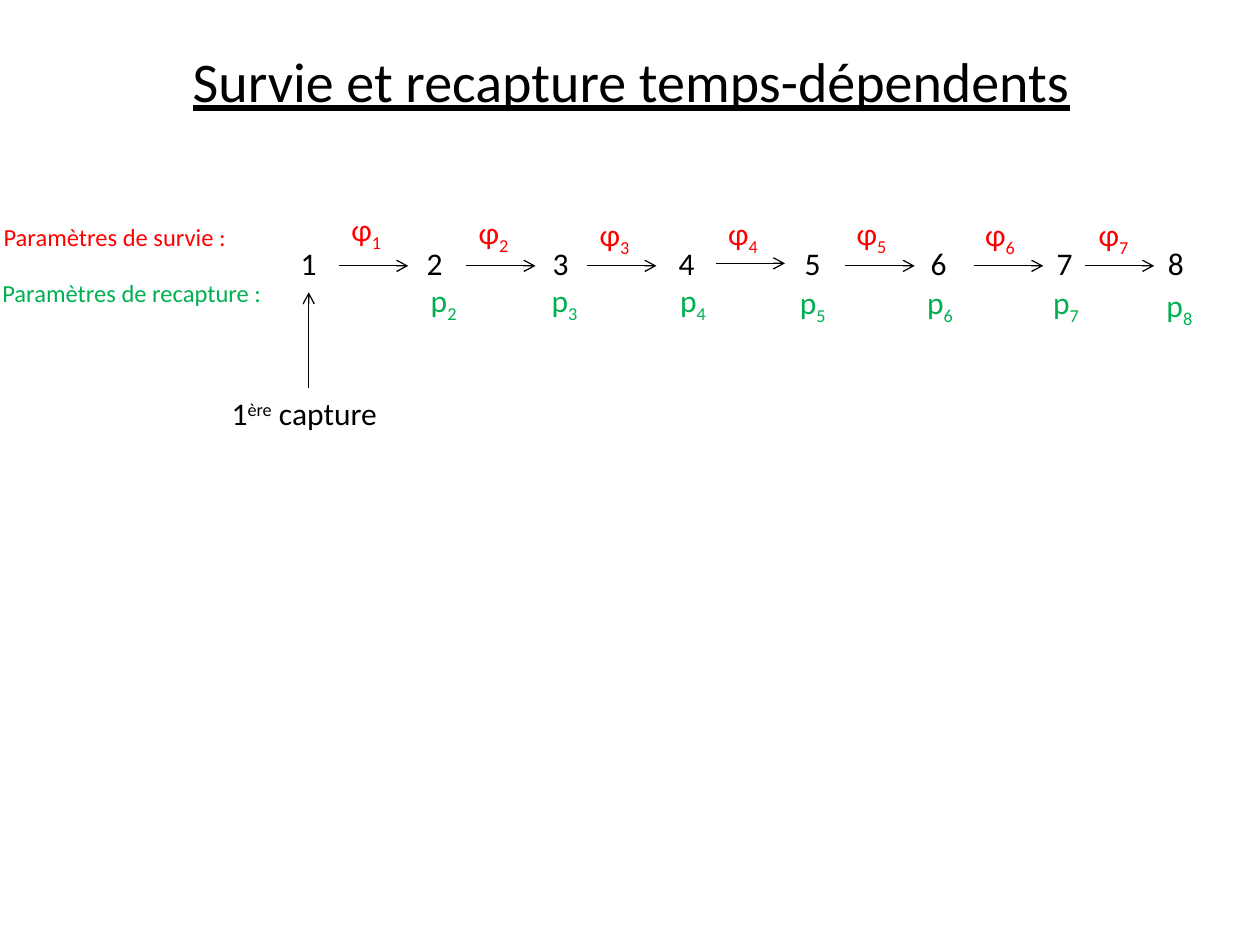
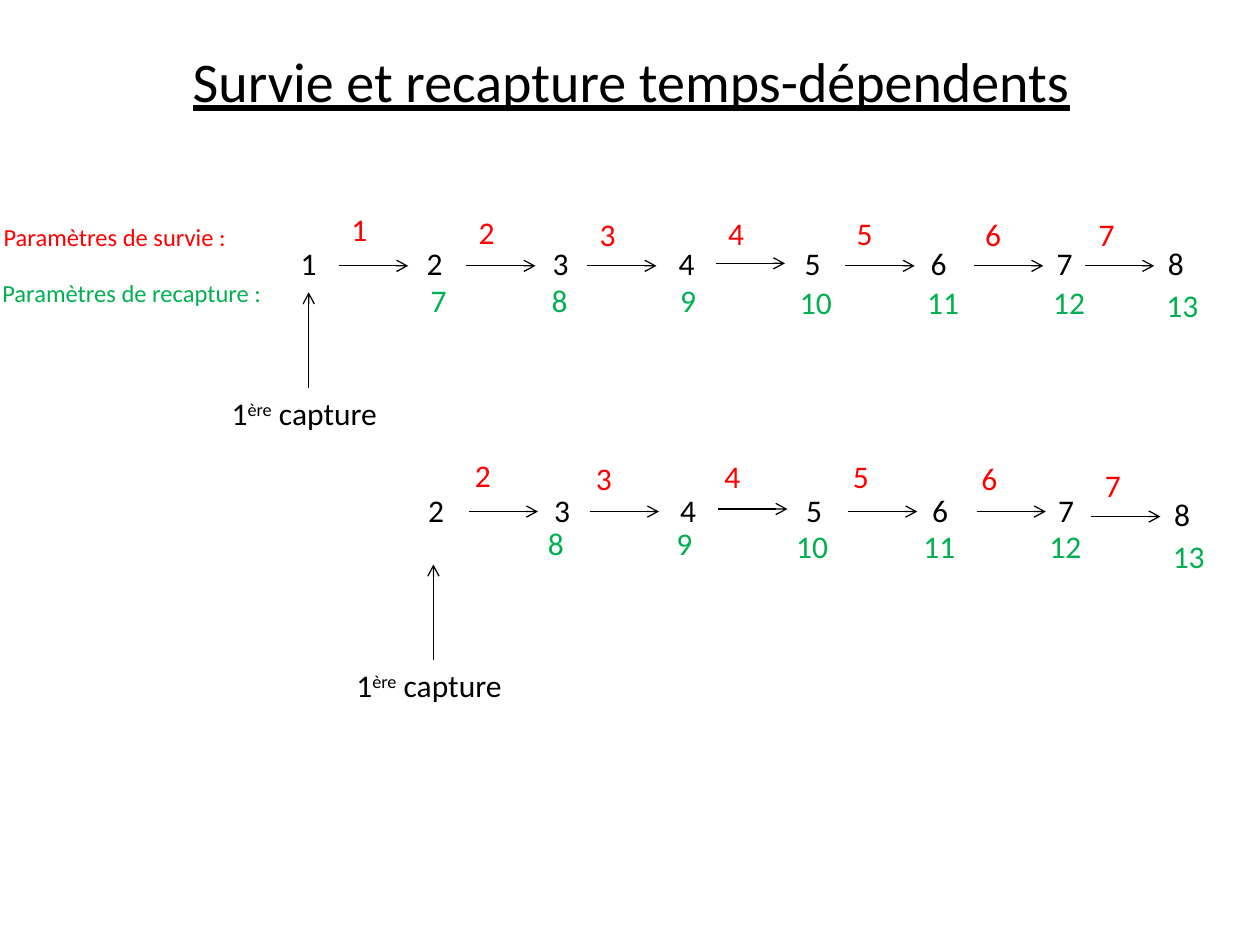
from lxml import etree
from pptx import Presentation
from pptx.dml.color import RGBColor
from pptx.enum.shapes import MSO_CONNECTOR
from pptx.enum.text import MSO_ANCHOR, MSO_AUTO_SIZE, PP_ALIGN
from pptx.oxml.ns import qn
from pptx.util import Inches, Pt

BLACK = RGBColor(0x00, 0x00, 0x00)
SURVIVAL_RED = RGBColor(0xFF, 0x00, 0x00)
RECAPTURE_GREEN = RGBColor(0x00, 0xB0, 0x50)
FONT = "Calibri"
SUBSCRIPT, SUPERSCRIPT = -25000, 30000

ARROW_LENGTH = 0.55
LABEL_HEIGHT = 0.4
OCCASIONS = 8

# One entry per interval: arrow, survival label, recapture label (x, y)
INTERVALS = [
    ((2.69, 2.11), (2.69, 1.62), (3.32, 2.18)),
    ((3.70, 2.11), (3.70, 1.64), (4.28, 2.18)),
    ((4.66, 2.11), (4.66, 1.66), (5.30, 2.18)),
    ((5.68, 2.09), (5.68, 1.65), (6.25, 2.20)),
    ((6.71, 2.11), (6.70, 1.65), (7.26, 2.20)),
    ((7.73, 2.11), (7.72, 1.66), (8.26, 2.20)),
    ((8.61, 2.11), (8.62, 1.66), (9.16, 2.22)),
]

# Offsets of each cohort row from the first one
COHORTS = [
    dict(first=1, numbers=(0, 0), arrows=(0, 0), labels=(0, 0),
         last=(0, 0), capture=(0, 0)),
    dict(first=2, numbers=(0.01, 1.96), arrows=(0.02, 1.95), labels=(-0.03, 1.93),
         last=(0.05, 1.99), capture=(0.99, 2.16)),
]


def add_text(page, spans, x, y, width, height=LABEL_HEIGHT, size=18, color=BLACK,
             align=None, underline=None, title=False, tab_stops=0):
    """Add a text box; spans is a list of (text, baseline) pairs."""
    box = page.shapes.add_textbox(Inches(x), Inches(y), Inches(width), Inches(height))
    frame = box.text_frame
    frame.word_wrap = True
    frame.auto_size = MSO_AUTO_SIZE.NONE if title else MSO_AUTO_SIZE.SHAPE_TO_FIT_TEXT
    frame.vertical_anchor = MSO_ANCHOR.MIDDLE if title else MSO_ANCHOR.TOP
    para = frame.paragraphs[0]
    para.alignment = align
    if tab_stops:
        tabs = etree.SubElement(para._p.get_or_add_pPr(), qn("a:tabLst"))
        for inch in range(1, tab_stops + 1):
            etree.SubElement(tabs, qn("a:tab"), pos=str(Inches(inch)), algn="l")
    for text, baseline in spans:
        span = para.add_run()
        span.text = text
        span.font.name = FONT
        span.font.size = Pt(size)
        span.font.color.rgb = color
        span.font.underline = underline
        if baseline:
            span.font._element.set("baseline", str(baseline))


def add_arrow(page, x1, y1, x2, y2):
    arrow = page.shapes.add_connector(
        MSO_CONNECTOR.STRAIGHT, Inches(x1), Inches(y1), Inches(x2), Inches(y2))
    arrow.line.color.rgb = BLACK
    arrow.line.width = Pt(0.75)
    etree.SubElement(arrow.line._get_or_add_ln(), qn("a:tailEnd"), type="arrow")
    etree.SubElement(arrow._element.spPr, qn("a:effectLst"))


deck = Presentation()
deck.slide_width, deck.slide_height = Inches(10), Inches(7.5)

# The first page names the parameters, the second numbers them
for numbered, cohorts in [(False, COHORTS[:1]), (True, COHORTS)]:
    page = deck.slides.add_slide(deck.slide_layouts[6])

    # Title and row captions
    add_text(page, [("Survie et recapture temps-dépendents", 0)], 0.51, 0.01, 9, 1.25,
             size=32, align=PP_ALIGN.CENTER, underline=True, title=True)
    add_text(page, [("Paramètres de survie :", 0)], -0.07, 1.71, 2.32, 0.34,
             size=14, color=SURVIVAL_RED)
    add_text(page, [("Paramètres de recapture :", 0)], -0.08, 2.16, 2.32, 0.34,
             size=14, color=RECAPTURE_GREEN)

    for cohort in cohorts:
        first = cohort["first"]

        # Capture occasions: 1 to 7 on one tabbed line, 8 on its own
        numbers = "\t".join(str(n) if n >= first else "" for n in range(1, OCCASIONS))
        dx, dy = cohort["numbers"]
        add_text(page, [(numbers, 0)], 0.96 + dx, 1.89 + dy, 8.98,
                 align=PP_ALIGN.CENTER, tab_stops=OCCASIONS - 2)
        dx, dy = cohort["last"]
        add_text(page, [(str(OCCASIONS), 0)], 9.17 + dx, 1.89 + dy, 0.47)

        # Arrows with survival and recapture parameters
        for step, (arrow, survival, recapture) in enumerate(INTERVALS, start=1):
            if step < first:
                continue
            is_last = step == len(INTERVALS)
            dx, dy = cohort["last" if is_last else "arrows"]
            x, y = arrow[0] + dx, arrow[1] + dy
            add_arrow(page, x, y, x + ARROW_LENGTH, y)

            if numbered:
                survival_spans = [(str(step), 0)]
                recapture_spans = [(str(step + 6), 0)]
            else:
                survival_spans = [("φ", 0), (str(step), SUBSCRIPT)]
                recapture_spans = [("p", 0), (str(step + 1), SUBSCRIPT)]
            dx, dy = cohort["last" if is_last else "labels"]
            add_text(page, survival_spans, survival[0] + dx, survival[1] + dy, 0.55,
                     color=SURVIVAL_RED)
            add_text(page, recapture_spans, recapture[0] + dx, recapture[1] + dy, 0.66,
                     color=RECAPTURE_GREEN)

        # First capture marker
        dx, dy = cohort["capture"]
        add_text(page, [("1", 0), ("ère", SUPERSCRIPT), (" capture", 0)],
                 1.74 + dx, 3.08 + dy, 2.64)
        add_arrow(page, 2.45 + dx, 3.08 + dy, 2.45 + dx, 2.32 + dy)

deck.save("out.pptx")
